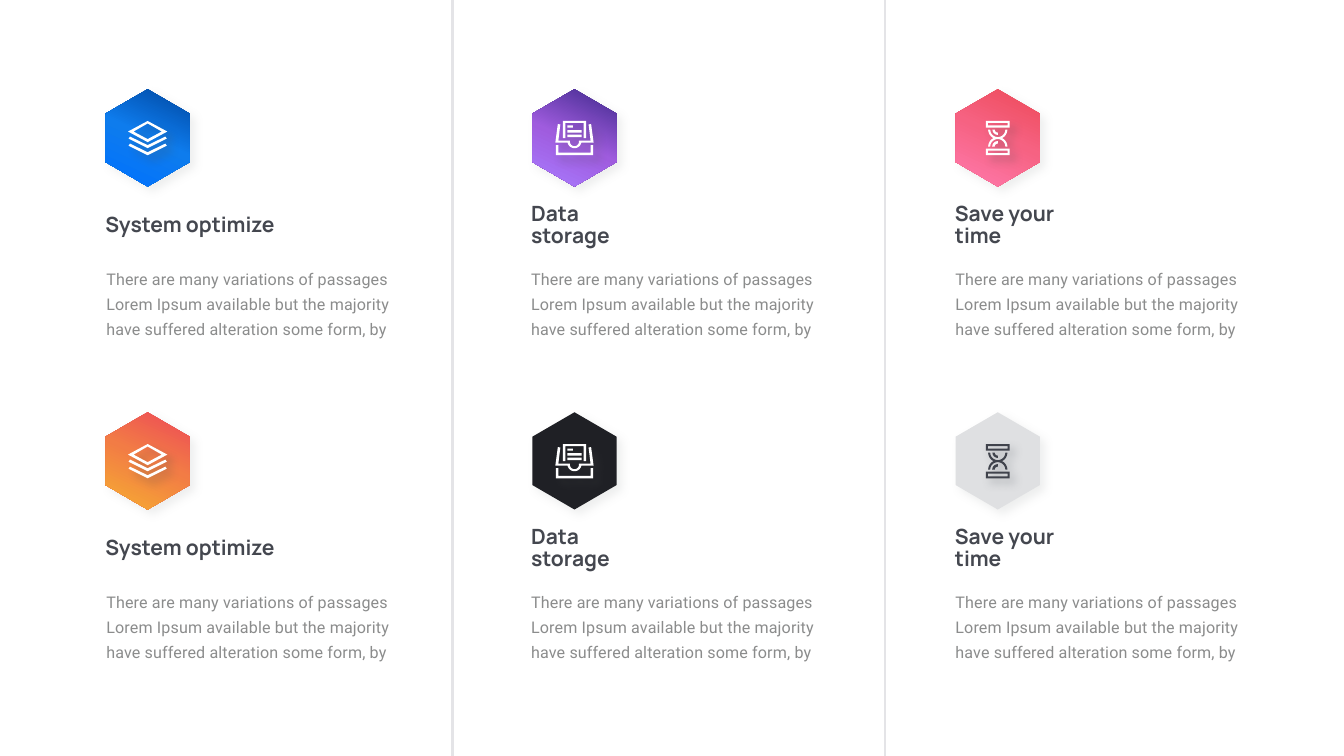
from dataclasses import dataclass
from itertools import product
from math import cos, radians, sin

from lxml.etree import SubElement
from pptx import Presentation
from pptx.dml.color import RGBColor
from pptx.enum.shapes import MSO_CONNECTOR
from pptx.enum.text import MSO_ANCHOR
from pptx.oxml.ns import qn
from pptx.util import Inches, Pt


@dataclass(frozen=True)
class Theme:
    title_font: str = "Manrope"
    title_size: int = 30
    title_color: str = "44474F"
    body_font: str = "Roboto"
    body_size: int = 23
    body_color: str = "8B8C8C"
    body_tracking: int = 20
    divider: str = "E4E4E7"
    white: str = "FFFFFF"
    dark_icon: str = "40434C"
    blue: tuple = ((0, "0047A0"), (49, "0E7CED"), (100, "0071FF"))
    purple: tuple = ((0, "40298C"), (53, "9F5CDE"), (100, "A97BFF"))
    pink: tuple = ((0, "ED4958"), (48, "F66282"), (100, "FF7AAD"))
    orange: tuple = ((0, "ED4958"), (48, "F27C45"), (100, "F6AD31"))
    black: str = "1F2025"
    gray: str = "DFE0E2"
    gradient_angle: int = 245
    badge_shadow: tuple = ("A6AAA9", 18, 13, 9.5, 45)
    icon_shadow: tuple = ("4B4D4D", 32, 12, 12.2, 46)
    dark_icon_shadow: tuple = ("53585F", 34, 13, 9.5, 45)


def rectangle(left, top, right, bottom):
    return [(left, top), (left, bottom), (right, bottom), (right, top)]


def arc(center_y, radius, start, end, steps=16):
    angles = [radians(start + (end - start) * step / steps) for step in range(steps + 1)]
    return [(radius * cos(angle), center_y + radius * sin(angle)) for angle in angles]


def chevron(top):
    return [(-35, top), (-38, top + 4), (0, top + 23), (38, top + 4), (35, top), (0, top + 17)]


def layers_icon():
    return [
        [(0, 0), (-39, 21), (0, 42), (39, 21)],
        [(0, 5), (28, 21), (0, 36), (-28, 21)],
        chevron(31),
        chevron(45),
    ]


def tray_icon():
    sheet = [(-23, 0), (-23, 34), (-18, 34), (-18, 4), (18, 4), (18, 34), (23, 34), (23, 0)]
    tray = [(-33, 6), (-38, 43), *arc(40, 14, 168, 12), (38, 43), (33, 6), (28, 7), (32, 39),
            (9, 39), *arc(41, 9, 0, 180), (-9, 39), (-32, 39), (-28, 7)]
    base = [(-37, 48), (-37, 68), (37, 68), (37, 48), (32, 48), (32, 63), (-32, 63), (-32, 48)]
    text_lines = [rectangle(-14, 9, -3, 13), rectangle(-14, 18, 14, 23), rectangle(-14, 27, 14, 32)]
    return [sheet, tray, *text_lines, base]


def hourglass_icon():
    caps = [contour for top in (0, 55) for contour in
            (rectangle(-23.5, top, 23.5, top + 13), rectangle(-19.5, top + 4, 19.5, top + 9))]
    glass = [*arc(17, 19, 180, 116), *arc(51, 19, 244, 180), *arc(51, 15, 180, 360),
             *arc(51, 19, 360, 296), *arc(17, 19, 64, 0), *arc(17, 15, 0, 180)]
    upper_sand = arc(17, 10.5, 180, 90) + arc(17, 6, 90, 180)
    lower_sand = arc(51, 11, 270, 180) + arc(51, 6, 180, 270)
    return [*caps, glass, upper_sand, lower_sand]


class SlideBuilder:
    def __init__(self, slide, theme):
        self.slide = slide
        self.theme = theme

    def divider(self, x):
        line = self.slide.shapes.add_connector(
            MSO_CONNECTOR.STRAIGHT, Inches(x), Inches(15), Inches(x), Inches(0))
        line.line.color.rgb = RGBColor.from_string(self.theme.divider)
        line.line.width = Pt(3)
        SubElement(line._element.spPr, qn("a:effectLst"))

    def outline(self, center, top, contours, fill, shadow):
        builder = None
        for contour in contours:
            points = [(Inches(center + x / 100), Inches(top + y / 100)) for x, y in contour]
            if builder is None:
                builder = self.slide.shapes.build_freeform(*points[0])
            else:
                builder.move_to(*points[0])
            builder.add_line_segments(points[1:], close=True)
        shape = builder.convert_to_shape()
        self.paint(shape, fill)
        shape.line.fill.background()
        self.cast_shadow(shape, *shadow)

    def paint(self, shape, fill):
        if isinstance(fill, str):
            shape.fill.solid()
            shape.fill.fore_color.rgb = RGBColor.from_string(fill)
            return
        shape.fill.gradient()
        shape.fill.gradient_angle = self.theme.gradient_angle
        stops = next(shape._element.spPr.iter(qn("a:gsLst")))
        for stop in list(stops):
            stops.remove(stop)
        for position, color in fill:
            stop = SubElement(stops, qn("a:gs"), pos=str(position * 1000))
            SubElement(stop, qn("a:srgbClr"), val=color)

    def cast_shadow(self, shape, color, opacity, blur, distance, direction):
        effects = SubElement(shape._element.spPr, qn("a:effectLst"))
        shadow = SubElement(
            effects, qn("a:outerShdw"), blurRad=str(Pt(blur)), dist=str(Pt(distance)),
            dir=str(direction * 60000), algn="ctr", rotWithShape="0")
        tint = SubElement(shadow, qn("a:srgbClr"), val=color)
        SubElement(tint, qn("a:alpha"), val=str(opacity * 1000))

    def text(self, left, top, width, height, lines, font, size, color, spacing,
             bold=False, tracking=0):
        box = self.slide.shapes.add_textbox(
            Inches(left), Inches(top), Inches(width), Inches(height))
        frame = box.text_frame
        frame.word_wrap = True
        frame.vertical_anchor = MSO_ANCHOR.MIDDLE
        frame.margin_left = frame.margin_right = Inches(0.06)
        frame.margin_top = frame.margin_bottom = Inches(0.06)
        frame.text = "\n".join(lines)
        for para in frame.paragraphs:
            para.line_spacing = spacing
            para.font.name = font
            para.font.size = Pt(size)
            para.font.bold = bold
            para.font.color.rgb = RGBColor.from_string(color)
            if tracking:
                for span in para.runs:
                    span._r.get_or_add_rPr().set("spc", str(tracking))

    def title(self, left, top, width, wording):
        theme = self.theme
        self.text(left, top, width, 0.6, [wording], theme.title_font, theme.title_size,
                  theme.title_color, 0.9, bold=True)

    def body(self, left, top, lines):
        theme = self.theme
        self.text(left, top, 5.83, 1.46, lines, theme.body_font, theme.body_size,
                  theme.body_color, 1.3, tracking=theme.body_tracking)


HEXAGON = [(0, 0), (83.5, 48.5), (83.5, 144.5), (0, 193), (-83.5, 144.5), (-83.5, 48.5)]
DESCRIPTION = [
    "There are many variations of passages",
    "Lorem Ipsum available but the majority",
    "have suffered alteration some form, by",
]
COLUMNS = [
    (2.93, 2.03, 2.05, 3.52, "System optimize", layers_icon()),
    (11.4, 10.48, 10.48, 2.69, "Data storage", tray_icon()),
    (19.8, 18.89, 18.9, 3.06, "Save your time", hourglass_icon()),
]
ROW_TOPS = (1.77, 8.18)

theme = Theme()
deck = Presentation()
deck.slide_width, deck.slide_height = Inches(26.67), Inches(15)
page = SlideBuilder(deck.slides.add_slide(deck.slide_layouts[6]), theme)

for x in (8.98, 17.57):
    page.divider(x)

badge_fills = (theme.blue, theme.purple, theme.pink, theme.orange, theme.black, theme.gray)
for (top, column), fill in zip(product(ROW_TOPS, COLUMNS), badge_fills):
    center, title_left, body_left, title_width, title, icon = column
    page.outline(center, top, [HEXAGON], fill, theme.badge_shadow)
    page.title(title_left, top + 2.41, title_width, title)
    page.body(body_left, top + 3.47, DESCRIPTION)
    on_gray = fill == theme.gray
    page.outline(center, top + 0.63, icon,
                 theme.dark_icon if on_gray else theme.white,
                 theme.dark_icon_shadow if on_gray else theme.icon_shadow)

deck.save("out.pptx")
